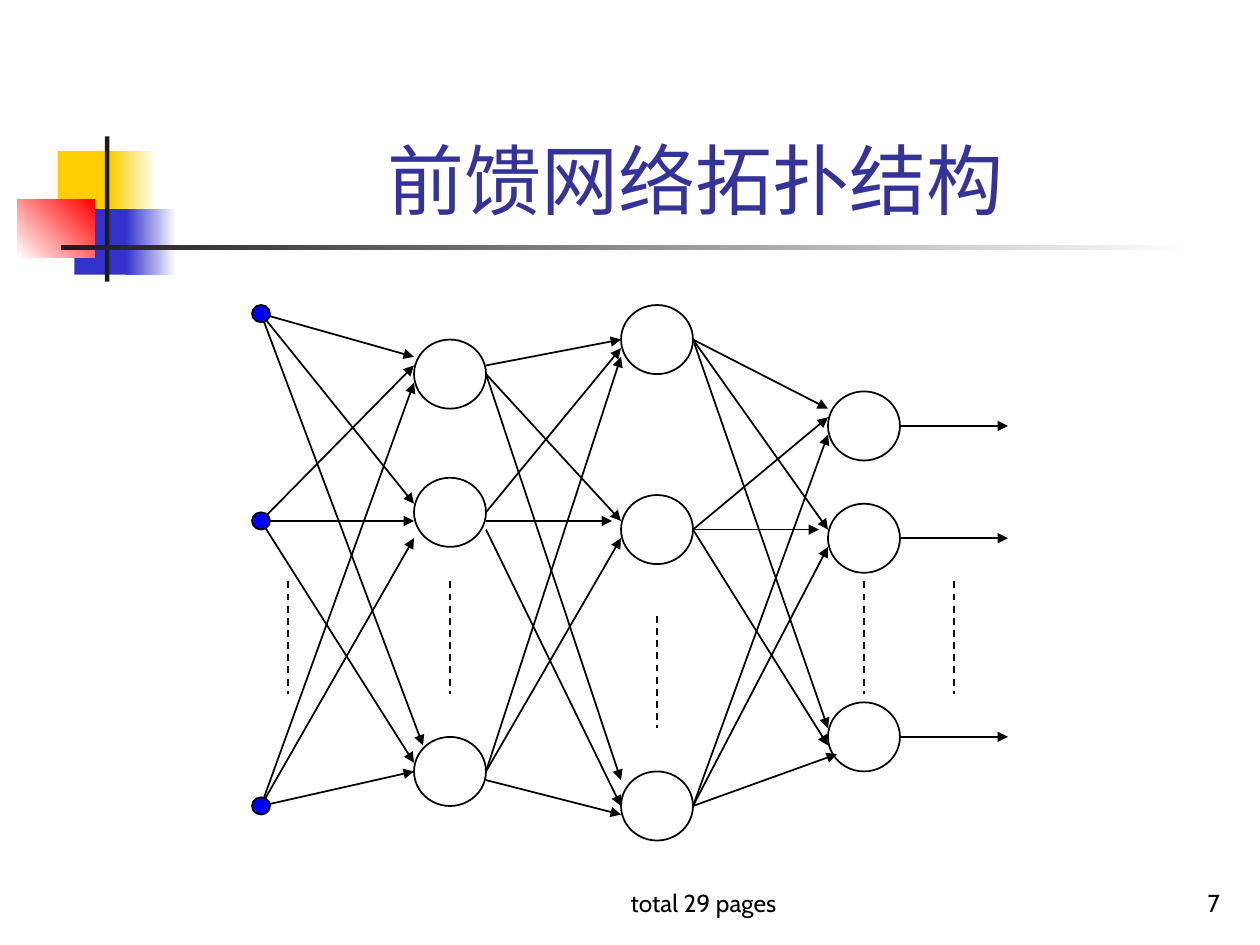
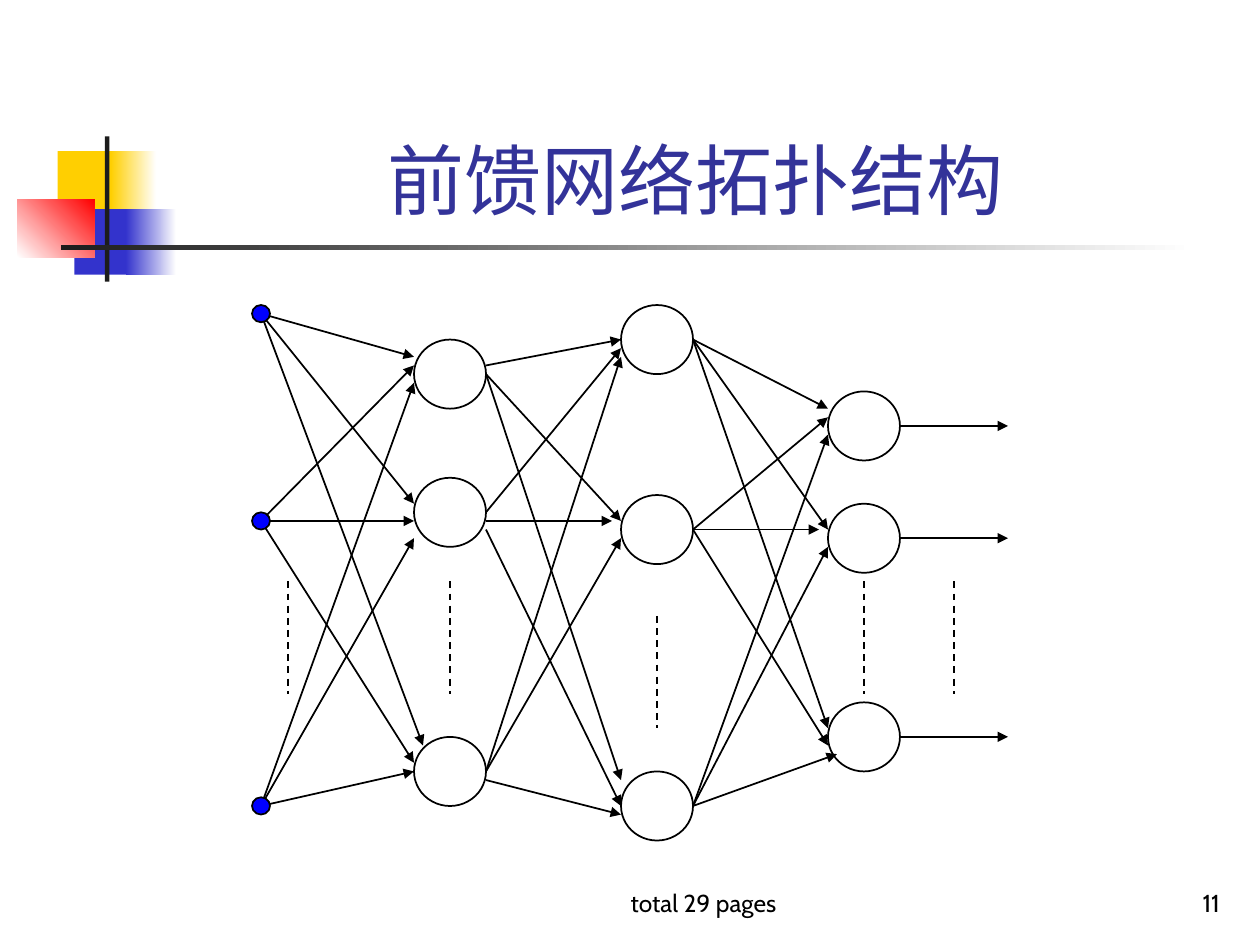
from dataclasses import dataclass

from lxml.etree import SubElement
from pptx import Presentation
from pptx.dml.color import RGBColor as Color
from pptx.enum.dml import MSO_LINE_DASH_STYLE as Dash
from pptx.enum.shapes import MSO_CONNECTOR_TYPE as Connector, MSO_SHAPE as Shape
from pptx.enum.text import MSO_VERTICAL_ANCHOR as Anchor, PP_PARAGRAPH_ALIGNMENT as Align
from pptx.oxml.ns import qn
from pptx.util import Pt


@dataclass(frozen=True)
class Theme:
    font: str = "Cabin"
    title_size: float = 44
    footer_size: float = 14
    line_width: float = 1
    title: str = "333399"
    ink: str = "000000"
    paper: str = "FFFFFF"
    yellow: str = "FFCF01"
    blue: str = "3333CC"
    red: str = "FF0000"
    charcoal: str = "1C1C1C"
    input_dot: str = "0000FF"


@dataclass(frozen=True)
class Box:
    left: float
    top: float
    width: float
    height: float

    def inner(self, left, top, width, height):
        return Box(self.left + left, self.top + top, width, height)

    def lengths(self):
        return [Pt(n) for n in (self.left, self.top, self.width, self.height)]


THEME = Theme()
EMBLEM_BOX = Box(10, 78, 672, 83)
TITLE_BOX = Box(90.7, 16.6, 613.4, 115.2)
FOOTER_BOX = Box(288, 491.8, 416.2, 36)
NETWORK_BOX = Box(144, 174.3, 432, 306)

GRID_COLUMNS, GRID_ROWS = 84, 62
NODE_RADIUS, DOT_RADIUS = 4, 1
INPUT_X, OUTPUT_END_X = 1, 84
INPUT_ROWS = (1, 25, 58)
OUTPUT_ROWS = (14, 27, 50)
NODE_LAYERS = {22: (8, 24, 54), 45: (4, 26, 58), 68: OUTPUT_ROWS}
ELLIPSES = {4: 32, 22: 32, 45: 36, 68: 32, 78: 32}
ELLIPSIS_LENGTH = 13
LINK_LAYERS = {
    (1, 18): [(1, 6), (1, 23), (1, 51, 1),
              (25, 7), (25, 25), (25, 53),
              (58, 9), (58, 27), (58, 54)],
    (26, 41): [(7, 4), (8, 25), (8, 55),
               (24, 5), (25, 25, -1), (26, 58),
               (54, 6), (54, 27), (55, 59)],
    (49, 64): [(4, 12), (4, 26), (4, 49),
               (26, 13), (26, 26, -1), (26, 51),
               (58, 15), (58, 28), (58, 52, 1)],
}


def add_text(page, box, text, *, size, color, align):
    frame = page.shapes.add_textbox(*box.lengths()).text_frame
    frame.word_wrap = True
    frame.vertical_anchor = Anchor.BOTTOM
    para = frame.paragraphs[0]
    para.alignment = align
    span = para.add_run()
    span.text = text
    span.font.name = THEME.font
    span.font.size = Pt(size)
    span.font.color.rgb = Color.from_string(color)


def add_block(page, box, start, end=None, angle=0):
    block = page.shapes.add_shape(Shape.RECTANGLE, *box.lengths())
    block.shadow.inherit = False
    block.line.fill.background()
    if end is None:
        block.fill.solid()
        block.fill.fore_color.rgb = Color.from_string(start)
        return
    block.fill.gradient()
    block.fill.gradient_angle = angle
    for stop, color in zip(block.fill.gradient_stops, (start, end)):
        stop.color.rgb = Color.from_string(color)


def set_line(line):
    line.color.rgb = Color.from_string(THEME.ink)
    line.width = Pt(THEME.line_width)


def draw_emblem(page, box):
    for left, top, width, color, fade_left, fade_width in (
        (23, 8.4, 34.6, THEME.yellow, 53.4, 25.9),
        (32.5, 41.5, 33.1, THEME.blue, 62, 28.8),
    ):
        add_block(page, box.inner(left, top, width, 37.4), color)
        add_block(page, box.inner(fade_left, top, fade_width, 37.4), color, THEME.paper)
    add_block(page, box.inner(0, 35.8, 44, 33.1), THEME.paper, THEME.red, 45)
    add_block(page, box.inner(50, 0, 2.5, box.height), THEME.charcoal)
    add_block(page, box.inner(24.6, 62.2, 648, 2.5), THEME.charcoal, THEME.paper)


def draw_footer(page, box, number):
    style = dict(size=THEME.footer_size, color=THEME.ink)
    add_text(page, box.inner(0, 0, 228.2, box.height), "total 29 pages",
             align=Align.CENTER, **style)
    add_text(page, box.inner(box.width - 149.8, 0, 149.8, box.height), str(number),
             align=Align.RIGHT, **style)


def draw_network(page, box):
    group = page.shapes.add_group_shape()
    column, row = box.width / GRID_COLUMNS, box.height / GRID_ROWS

    def add_circle(x, y, radius, color=None):
        place = box.inner((x - radius) * column, (y - radius) * row,
                          2 * radius * column, 2 * radius * row)
        circle = group.shapes.add_shape(Shape.OVAL, *place.lengths())
        circle.shadow.inherit = False
        set_line(circle.line)
        if color:
            circle.fill.solid()
            circle.fill.fore_color.rgb = Color.from_string(color)
        else:
            circle.fill.background()

    def add_link(start_x, start_y, end_x, end_y, dashed=False):
        link = group.shapes.add_connector(
            Connector.STRAIGHT,
            Pt(box.left + start_x * column), Pt(box.top + start_y * row),
            Pt(box.left + end_x * column), Pt(box.top + end_y * row))
        set_line(link.line)
        properties = link._element.spPr
        if dashed:
            link.line.dash_style = Dash.DASH
        else:
            SubElement(properties.find(qn("a:ln")), qn("a:tailEnd"), type="triangle")
        SubElement(properties, qn("a:effectLst"))

    for x, rows in NODE_LAYERS.items():
        for y in rows:
            add_circle(x, y, NODE_RADIUS)
    for x, y in ELLIPSES.items():
        add_link(x, y, x, y + ELLIPSIS_LENGTH, dashed=True)
    for (start_x, end_x), links in LINK_LAYERS.items():
        for start_y, end_y, *shift in links:
            add_link(start_x, start_y, end_x + sum(shift), end_y)
    for y in OUTPUT_ROWS:
        add_link(max(NODE_LAYERS) + NODE_RADIUS, y, OUTPUT_END_X, y)
    for y in INPUT_ROWS:
        add_circle(INPUT_X, y, DOT_RADIUS, THEME.input_dot)


def draw_topology_page(deck, number):
    page = deck.slides.add_slide(deck.slide_layouts[6])
    page.background.fill.solid()
    page.background.fill.fore_color.rgb = Color.from_string(THEME.paper)
    draw_emblem(page, EMBLEM_BOX)
    draw_footer(page, FOOTER_BOX, number)
    add_text(page, TITLE_BOX, "前馈网络拓扑结构",
             size=THEME.title_size, color=THEME.title, align=Align.CENTER)
    draw_network(page, NETWORK_BOX)


def main():
    deck = Presentation()
    deck.slide_width, deck.slide_height = Pt(720), Pt(540)
    for number in (7, 11):
        draw_topology_page(deck, number)
    deck.save("out.pptx")


if __name__ == "__main__":
    main()
